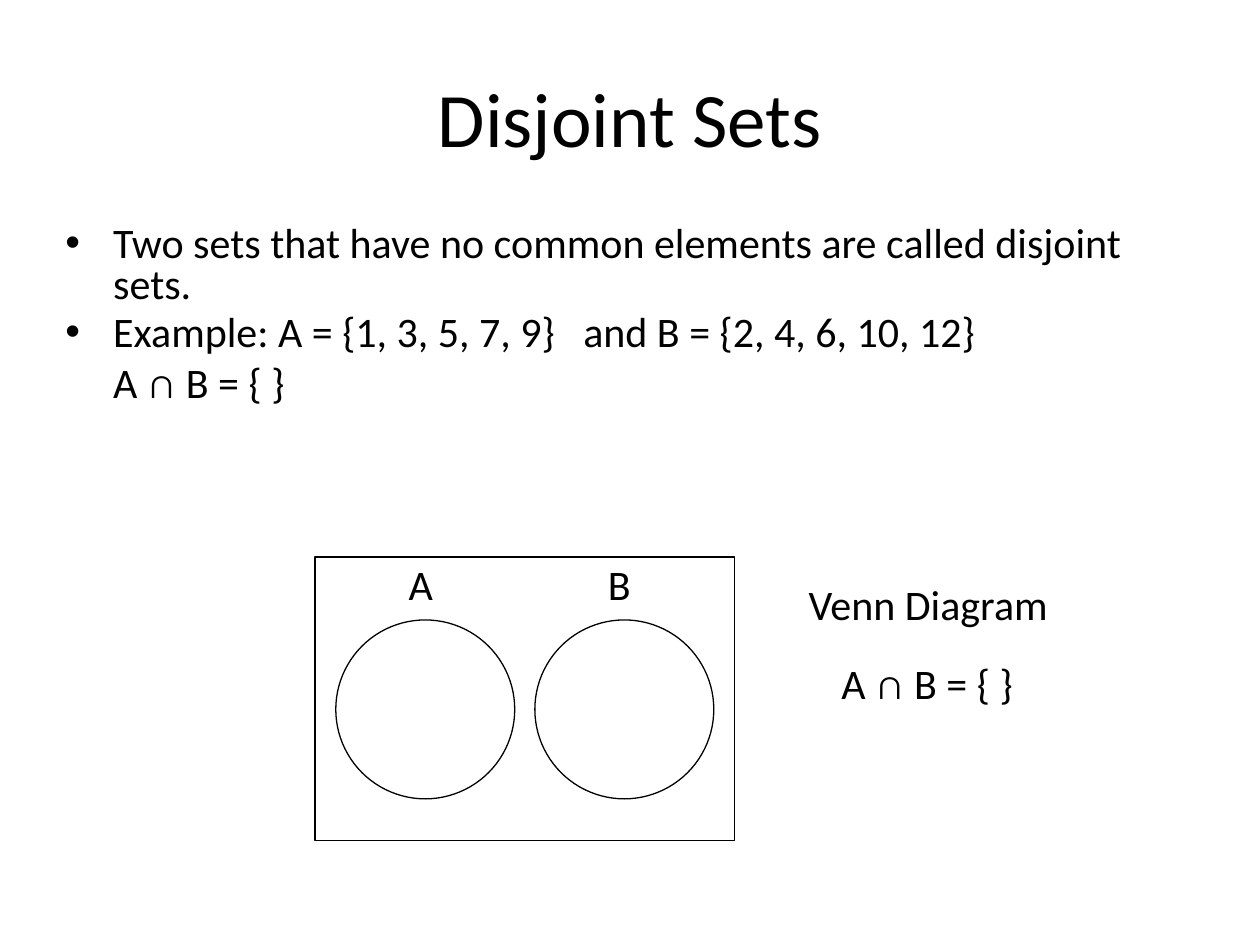
from lxml.etree import SubElement
from pptx import Presentation
from pptx.dml.color import RGBColor
from pptx.enum.shapes import MSO_SHAPE
from pptx.enum.text import MSO_ANCHOR, PP_ALIGN
from pptx.oxml.ns import qn
from pptx.util import Inches, Pt

BLACK = RGBColor(0, 0, 0)
FONT = "Calibri"
INTERSECTION = "A ∩ B = { }"


def write(para, text, size=24, align=PP_ALIGN.LEFT):
    para.alignment = align
    span = para.add_run()
    span.text = text
    span.font.name = FONT
    span.font.size = Pt(size)
    span.font.color.rgb = BLACK


def indent(para, bullet=None):
    properties = para._p.get_or_add_pPr()
    properties.set("marL", str(Inches(0.38)))
    properties.set("indent", str(Inches(-0.38 if bullet else 0)))
    if bullet:
        SubElement(properties, qn("a:buFont"), typeface="Arial")
        SubElement(properties, qn("a:buChar"), char=bullet)


def add_text_box(page, left, top, width, height):
    box = page.shapes.add_textbox(Inches(left), Inches(top), Inches(width), Inches(height))
    box.text_frame.word_wrap = True
    return box.text_frame


def add_label(page, text, left, top, width):
    write(add_text_box(page, left, top, width, 0.5).paragraphs[0], text)


def add_outline(page, kind, left, top, width, height):
    shape = page.shapes.add_shape(kind, Inches(left), Inches(top), Inches(width), Inches(height))
    shape.shadow.inherit = False
    shape.fill.background()
    shape.line.color.rgb = BLACK
    shape.line.width = Pt(0.75)


def add_title(page, text, left, top, width, height):
    title = page.shapes.title
    title.left, title.top = Inches(left), Inches(top)
    title.width, title.height = Inches(width), Inches(height)
    title.text_frame.vertical_anchor = MSO_ANCHOR.MIDDLE
    write(title.text_frame.paragraphs[0], text, size=44, align=PP_ALIGN.CENTER)


def add_body(page, bullets, result, left, top, width, height):
    frame = add_text_box(page, left, top, width, height)
    para = frame.paragraphs[0]
    for text in bullets:
        para.line_spacing = 0.8
        para.space_before = Pt(4.8)
        indent(para, "•")
        write(para, text)
        para = frame.add_paragraph()
    indent(para)
    write(para, result)


def add_venn(page, names, left, top, width, height):
    diameter, gap = 1.42, 0.16
    step = diameter + gap
    start = left + (width - len(names) * step + gap) / 2
    add_outline(page, MSO_SHAPE.RECTANGLE, left, top, width, height)
    for index, name in enumerate(names):
        circle_left = start + index * step
        add_outline(page, MSO_SHAPE.OVAL, circle_left, top + 0.5, diameter, diameter)
        add_label(page, name, circle_left + 0.48, top - 0.04, 0.42)


def add_caption(page, left, top):
    add_label(page, "Venn Diagram", left, top, 2.34)
    add_label(page, INTERSECTION, left + 0.26, top + 0.63, 1.76)


def main():
    deck = Presentation()
    deck.slide_width, deck.slide_height = Inches(10), Inches(7.5)
    page = deck.slides.add_slide(deck.slide_layouts[5])
    add_title(page, "Disjoint Sets", 0.5, 0.3, 9, 1.25)
    bullets = [
        "Two sets that have no common elements are called disjoint sets.",
        "Example: A = {1, 3, 5, 7, 9}   and B = {2, 4, 6, 10, 12}",
    ]
    add_body(page, bullets, INTERSECTION, 0.42, 1.75, 9.08, 1.58)
    add_venn(page, ["A", "B"], 2.5, 4.42, 3.33, 2.25)
    add_caption(page, 6.32, 4.54)
    deck.save("out.pptx")


if __name__ == "__main__":
    main()
